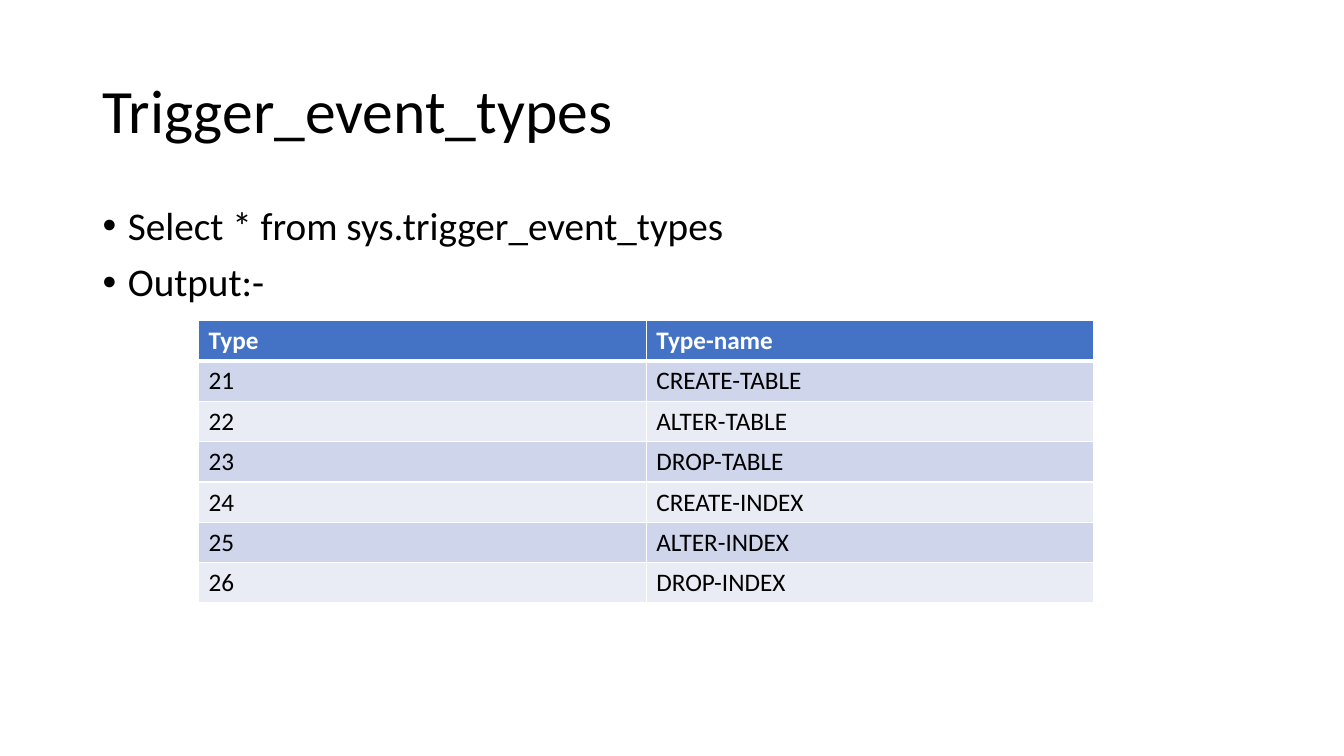
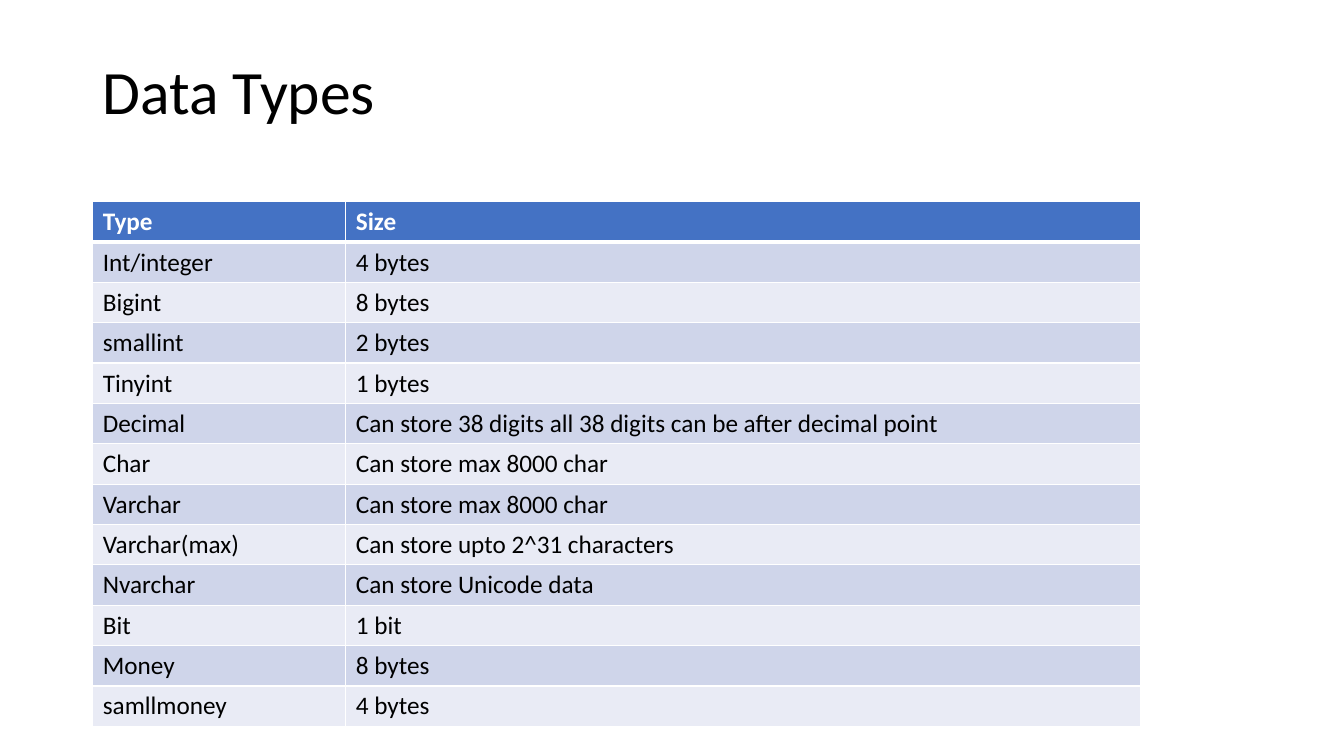
from lxml import etree
from pptx import Presentation
from pptx.dml.color import RGBColor
from pptx.enum.text import MSO_ANCHOR
from pptx.oxml.ns import qn
from pptx.util import Inches, Pt

MIDDLE, TOP = MSO_ANCHOR.MIDDLE, MSO_ANCHOR.TOP
FONT = "Calibri"
COLORS = {"text": "000000", "header": "4472C4", "odd": "CFD5EA",
          "even": "E9EBF5", "white": "FFFFFF"}
MARGIN, TEXT_W, ROW_H = 0.92, 11.5, 0.4

SLIDES = [
    {
        "title": "Trigger_event_types",
        "title_span": (0.4, 1.45),
        "bullets": ["Select * from sys.trigger_event_types", "Output:-"],
        "table_at": (1.97, 3.18),
        "cols": (4.44, 4.44),
        "rows": [
            ("Type", "Type-name"),
            ("21", "CREATE-TABLE"),
            ("22", "ALTER-TABLE"),
            ("23", "DROP-TABLE"),
            ("24", "CREATE-INDEX"),
            ("25", "ALTER-INDEX"),
            ("26", "DROP-INDEX"),
        ],
    },
    {
        "title": "Data Types",
        "title_span": (0.48, 0.91),
        "bullets": [],
        "table_at": (MARGIN, 2),
        "cols": (2.51, 7.88),
        "rows": [
            ("Type", "Size"),
            ("Int/integer", "4 bytes"),
            ("Bigint", "8 bytes"),
            ("smallint", "2 bytes"),
            ("Tinyint", "1 bytes"),
            ("Decimal", "Can store 38 digits all 38 digits can be after decimal point"),
            ("Char", "Can store max 8000 char"),
            ("Varchar", "Can store max 8000 char"),
            ("Varchar(max)", "Can store upto 2^31 characters"),
            ("Nvarchar", "Can store Unicode data"),
            ("Bit", "1 bit"),
            ("Money", "8 bytes"),
            ("samllmoney", "4 bytes"),
        ],
    },
]


def rgb(name):
    return RGBColor.from_string(COLORS[name])


def style(p, size, color="text", bold=False):
    for r in p.runs:
        r.font.name, r.font.size, r.font.bold = FONT, Pt(size), bold
        r.font.color.rgb = rgb(color)


def add_text(s, top, height, lines, size, anchor):
    box = s.shapes.add_textbox(Inches(MARGIN), Inches(top), Inches(TEXT_W), Inches(height))
    tf = box.text_frame
    tf.word_wrap = True
    tf.vertical_anchor = anchor
    tf.text = "\n".join(lines)
    for p in tf.paragraphs:
        p.line_spacing = 0.9
        style(p, size)
    return tf


def add_bullets(s, lines):
    for p in add_text(s, 2, 4.76, lines, 28, TOP).paragraphs:
        p.space_before = Pt(10)
        pPr = p._p.get_or_add_pPr()
        pPr.set("marL", str(Inches(0.25)))
        pPr.set("indent", str(-Inches(0.25)))
        etree.SubElement(pPr, qn("a:buFont"), typeface="Arial")
        etree.SubElement(pPr, qn("a:buChar"), char="•")


def set_borders(cell, widths):
    tcPr = cell._tc.get_or_add_tcPr()
    for side, width in widths.items():
        ln = etree.SubElement(tcPr, qn(f"a:ln{side}"), w=str(Pt(width)))
        fill = etree.SubElement(ln, qn("a:solidFill"))
        etree.SubElement(fill, qn("a:srgbClr"), val=COLORS["white"])


def add_table(s, at, cols, rows):
    left, top = at
    table = s.shapes.add_table(len(rows), len(cols), Inches(left), Inches(top),
                               Inches(sum(cols)), Inches(ROW_H * len(rows))).table
    for column, width in zip(table.columns, cols):
        column.width = Inches(width)
    for i, row in enumerate(rows):
        header = i == 0
        band = "header" if header else ("even", "odd")[i % 2]
        widths = {"L": 1, "R": 1, "T": 3 if i == 1 else 1, "B": 3 if header else 1}
        for j, text in enumerate(row):
            cell = table.cell(i, j)
            set_borders(cell, widths)
            cell.fill.solid()
            cell.fill.fore_color.rgb = rgb(band)
            cell.text = text
            style(cell.text_frame.paragraphs[0], 18, "white" if header else "text", header)


def main():
    prs = Presentation()
    prs.slide_width, prs.slide_height = Inches(13.33), Inches(7.5)
    for content in SLIDES:
        s = prs.slides.add_slide(prs.slide_layouts[6])
        add_text(s, *content["title_span"], [content["title"]], 44, MIDDLE)
        if content["bullets"]:
            add_bullets(s, content["bullets"])
        add_table(s, content["table_at"], content["cols"], content["rows"])
    prs.save("out.pptx")


if __name__ == "__main__":
    main()
